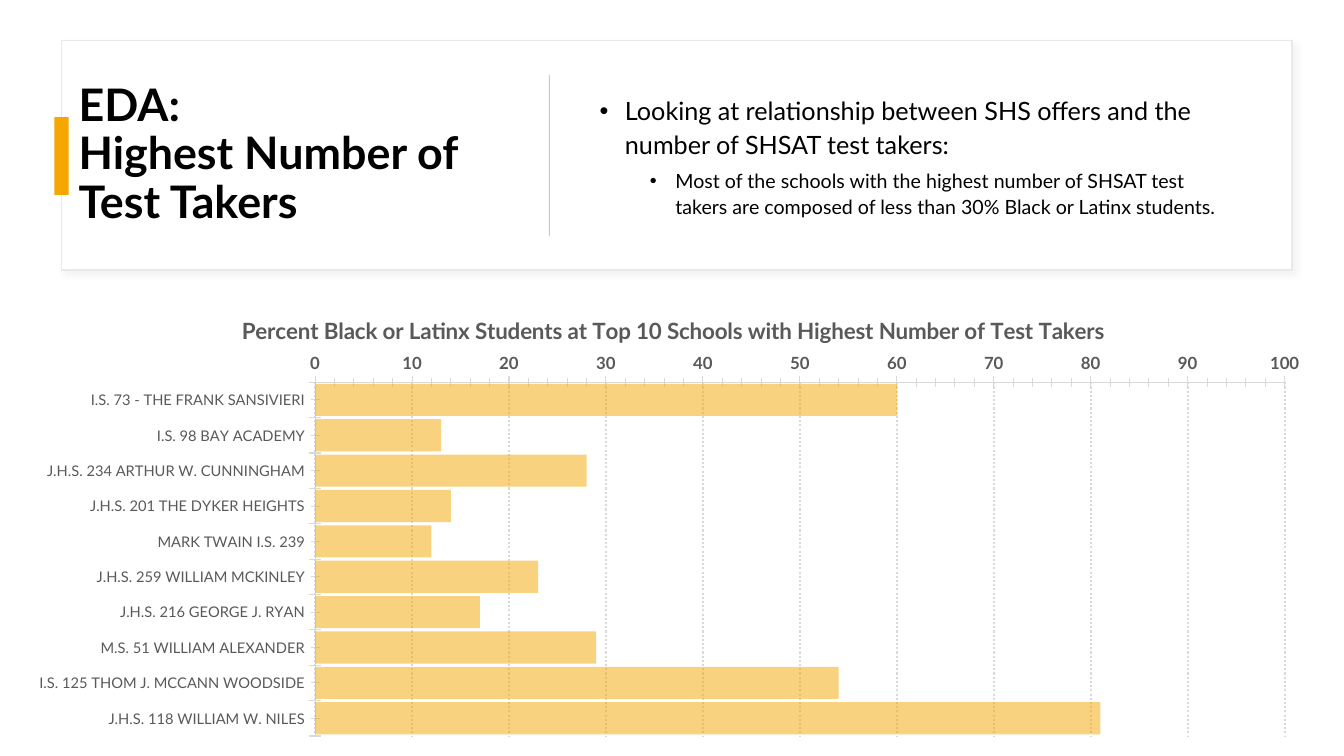
from lxml.etree import SubElement
from pptx import Presentation
from pptx.chart.data import CategoryChartData
from pptx.dml.color import RGBColor
from pptx.enum.chart import XL_CHART_TYPE, XL_TICK_MARK
from pptx.enum.dml import MSO_LINE
from pptx.enum.shapes import MSO_SHAPE
from pptx.enum.text import MSO_ANCHOR
from pptx.oxml import parse_xml
from pptx.oxml.ns import nsdecls, qn
from pptx.util import Cm, Pt

SCHOOLS = {
    "I.S. 73 - THE FRANK SANSIVIERI": 60,
    "I.S. 98 BAY ACADEMY": 13,
    "J.H.S. 234 ARTHUR W. CUNNINGHAM": 28,
    "J.H.S. 201 THE DYKER HEIGHTS": 14,
    "MARK TWAIN I.S. 239": 12,
    "J.H.S. 259 WILLIAM MCKINLEY": 23,
    "J.H.S. 216 GEORGE J. RYAN": 17,
    "M.S. 51 WILLIAM ALEXANDER": 29,
    "I.S. 125 THOM J. MCCANN WOODSIDE": 54,
    "J.H.S. 118 WILLIAM W. NILES": 81,
}


def color(value):
    return RGBColor.from_string(value)


def layout_xml(x, y, width=None, height=None):
    """Manual chart layout, in fractions of the chart; a size means the inner plot."""
    parts = [("xMode", "edge"), ("yMode", "edge"), ("x", x), ("y", y)]
    if width:
        parts = [("layoutTarget", "inner")] + parts + [("w", width), ("h", height)]
    body = "".join(f'<c:{name} val="{value}"/>' for name, value in parts)
    return parse_xml(f'<c:layout {nsdecls("c")}><c:manualLayout>{body}'
                     '</c:manualLayout></c:layout>')


class SlideBuilder:
    font_name = "Lato"
    accent = "F5A700"
    gray_text = "595959"
    light_line = "D9D9D9"

    def __init__(self, slide):
        self.slide = slide

    def set_font(self, font, size, font_color="000000", bold=False):
        font.name, font.size, font.bold = self.font_name, Pt(size), bold
        font.color.rgb = color(font_color)

    def rectangle(self, left, top, width, height, fill, line=None):
        shape = self.slide.shapes.add_shape(
            MSO_SHAPE.RECTANGLE, Cm(left), Cm(top), Cm(width), Cm(height))
        shape.shadow.inherit = False
        shape.fill.solid()
        shape.fill.fore_color.rgb = color(fill)
        if line:
            shape.line.color.rgb = color(line)
            shape.line.width = Pt(1)
        else:
            shape.line.fill.background()
        return shape

    def add_shadow(self, shape):
        effects = shape._element.spPr.find(qn("a:effectLst"))
        effects.append(parse_xml(
            f'<a:outerShdw {nsdecls("a")} blurRad="{Pt(4)}" dist="{Pt(3)}" dir="2700000">'
            f'<a:srgbClr val="{self.light_line}"><a:alpha val="30000"/></a:srgbClr>'
            '</a:outerShdw>'))

    def text_frame(self, left, top, width, height):
        box = self.slide.shapes.add_textbox(Cm(left), Cm(top), Cm(width), Cm(height))
        frame = box.text_frame
        frame.word_wrap = True
        frame.vertical_anchor = MSO_ANCHOR.MIDDLE
        return frame

    def title(self, text, *place):
        paragraph = self.text_frame(*place).paragraphs[0]
        paragraph.text = text
        paragraph.line_spacing = 0.9
        self.set_font(paragraph.font, 32, bold=True)

    def bullets(self, items, *place):
        frame = self.text_frame(*place)
        for index, (text, size, indent, space_before) in enumerate(items):
            paragraph = frame.add_paragraph() if index else frame.paragraphs[0]
            paragraph.text = text
            paragraph.level = index
            paragraph.line_spacing = 1.1
            paragraph.space_before = Pt(space_before)
            self.set_font(paragraph.font, size)
            properties = paragraph._p.get_or_add_pPr()
            properties.set("marL", str(Cm(indent)))
            properties.set("indent", str(-Cm(0.64)))
            bullet_font = parse_xml(f'<a:buFont {nsdecls("a")} typeface="Arial"/>')
            bullet = parse_xml(f'<a:buChar {nsdecls("a")} char="•"/>')
            properties.find(qn("a:defRPr")).addprevious(bullet_font)
            bullet_font.addnext(bullet)

    def style_axis(self, axis, size, bold=False):
        self.set_font(axis.tick_labels.font, size, self.gray_text, bold)
        axis.format.line.color.rgb = color(self.light_line)
        axis.format.line.width = Pt(0.75)
        axis.major_tick_mark = axis.minor_tick_mark = XL_TICK_MARK.CROSS

    def bar_chart(self, title, values, *place):
        data = CategoryChartData()
        data.categories = list(values)
        data.add_series("Series 1", list(values.values()))
        chart = self.slide.shapes.add_chart(
            XL_CHART_TYPE.BAR_CLUSTERED, *map(Cm, place), data).chart
        self.set_font(chart.font, 10)
        chart.has_legend = False

        # Chart title and plot position
        chart.has_title = True
        paragraph = chart.chart_title.text_frame.paragraphs[0]
        paragraph.text = title
        self.set_font(paragraph.font, 16, self.gray_text, bold=True)
        title_element = chart.chart_title._element
        for old_layout in title_element.findall(qn("c:layout")):
            title_element.remove(old_layout)
        title_element.find(qn("c:tx")).addnext(layout_xml(0.17, 0.04))
        plot_area = chart._chartSpace.chart.plotArea
        for old_layout in plot_area.findall(qn("c:layout")):
            plot_area.remove(old_layout)
        plot_area.insert(0, layout_xml(0.229, 0.198, 0.74, 0.78))

        # Axes
        self.style_axis(chart.category_axis, 10.5)
        chart.category_axis.reverse_order = True
        axis = chart.value_axis
        self.style_axis(axis, 12, bold=True)
        axis.minimum_scale, axis.maximum_scale, axis.major_unit = 0, 100, 10
        axis.has_major_gridlines = True
        grid = axis.major_gridlines.format.line
        grid.color.rgb = color(self.light_line)
        grid.width = Pt(1.5)
        grid.dash_style = MSO_LINE.ROUND_DOT

        # Half-transparent bars
        plot = chart.plots[0]
        plot.gap_width = 10
        plot.vary_by_categories = False
        series = plot.series[0]
        series.invert_if_negative = False
        series.format.fill.solid()
        series.format.fill.fore_color.rgb = color(self.accent)
        bar_color = next(series._element.iter(qn("a:srgbClr")))
        SubElement(bar_color, qn("a:alpha")).set("val", "50000")


def main():
    presentation = Presentation()
    presentation.slide_width, presentation.slide_height = Cm(33.87), Cm(19.05)
    slide = presentation.slides.add_slide(presentation.slide_layouts[6])
    builder = SlideBuilder(slide)

    # Header panel
    panel = builder.rectangle(1.55, 1.02, 31.01, 5.79, "FFFFFF", line="E9E9E9")
    builder.add_shadow(panel)
    builder.title("EDA: \vHighest Number of Test Takers", 1.73, 1.63, 12.12, 4.57)
    builder.rectangle(1.37, 2.95, 0.36, 1.96, builder.accent)
    builder.rectangle(13.83, 1.89, 0.03, 4.06, "C9C9C9")
    builder.bullets([
        ("Looking at relationship between SHS offers and the number of "
         "SHSAT test takers:", 18, 0.64, 10),
        ("Most of the schools with the highest number of SHSAT test takers are "
         "composed of less than 30% Black or Latinx students.", 14, 1.91, 5),
    ], 14.86, 1.63, 16.66, 4.57)

    # Chart
    builder.bar_chart(
        "Percent Black or Latinx Students at Top 10 Schools with "
        "Highest Number of Test Takers", SCHOOLS, 0.38, 7.37, 33.02, 11.43)

    presentation.save("out.pptx")


if __name__ == "__main__":
    main()
